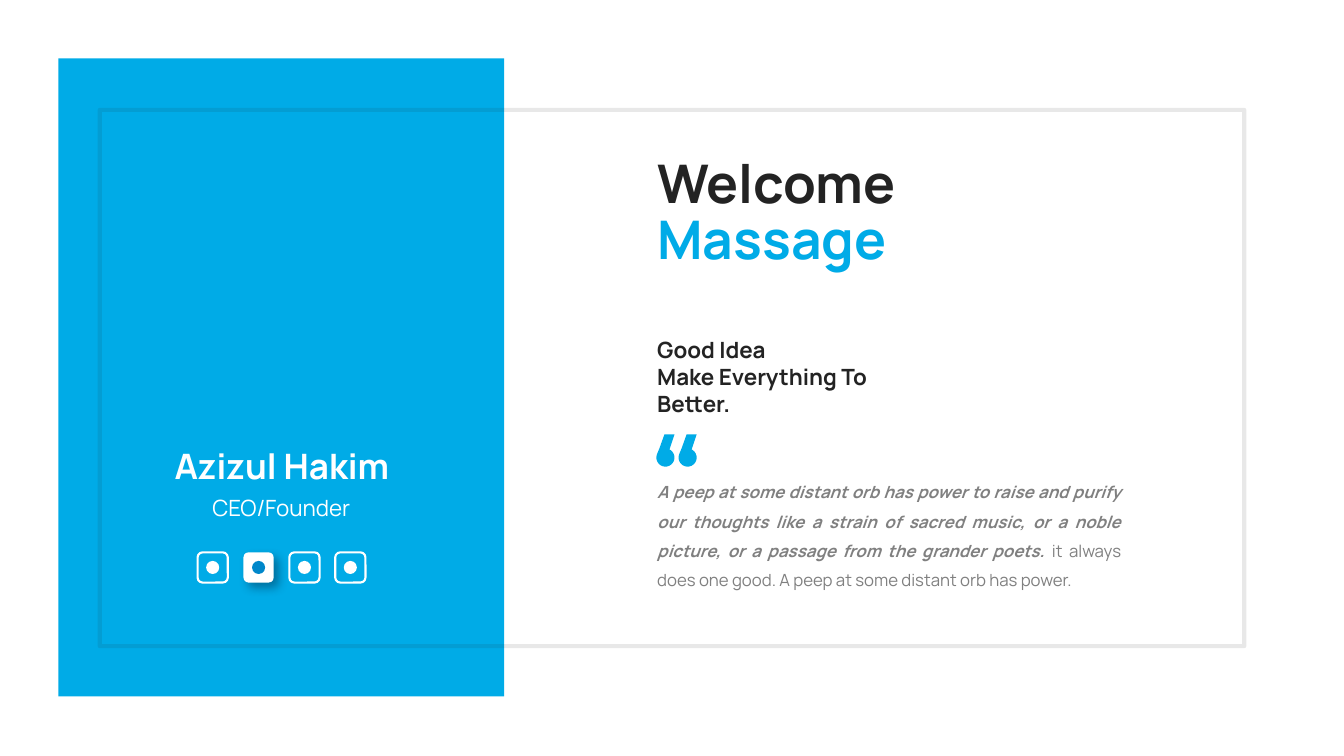
import math

import lxml.etree
import pptx
import pptx.dml.color
import pptx.enum.shapes
import pptx.enum.text
import pptx.oxml
import pptx.oxml.ns
import pptx.util

Inches = pptx.util.Inches
Pt = pptx.util.Pt
KIND = pptx.enum.shapes.MSO_SHAPE
ALIGN = pptx.enum.text.PP_ALIGN
HUES = {
    "blue": "00ABE7",
    "deep": "0087CA",
    "dark": "232323",
    "grey": "808080",
    "white": "FFFFFF",
    "shade": "001932",
}


def tint(name):
    return pptx.dml.color.RGBColor.from_string(HUES[name])


class Page:
    """Holds the font and the slide that the elements are added to."""

    def __init__(self, slide, font):
        self.slide = slide
        self.font = font

    def typeset(self, frame, paras, size, align=ALIGN.LEFT, gap=None, wrap=True):
        """Fill a frame; each paragraph is a list of (text, hue, bold, italic)."""
        frame.word_wrap = wrap
        frame.auto_size = pptx.enum.text.MSO_AUTO_SIZE.NONE
        frame.vertical_anchor = pptx.enum.text.MSO_ANCHOR.TOP
        for i, runs in enumerate(paras):
            para = frame.add_paragraph() if i else frame.paragraphs[0]
            para.alignment = align
            if gap:
                para.line_spacing = Pt(gap)
            for text, hue, bold, slant in runs:
                run = para.add_run()
                run.text = text
                run.font.name = self.font
                run.font.size = Pt(size)
                run.font.bold = bold
                run.font.italic = slant
                run.font.color.rgb = tint(hue)

    def title(self, box, runs, size, gap):
        head = self.slide.shapes.title
        head.left, head.top, head.width, head.height = map(Inches, box)
        self.typeset(head.text_frame, [runs], size, gap=gap)

    def text(self, box, paras, size, **style):
        area = self.slide.shapes.add_textbox(*map(Inches, box))
        self.typeset(area.text_frame, paras, size, **style)

    def paint(self, shape, fill=None, line=None, width=1.5):
        shape.shadow.inherit = False
        if fill:
            shape.fill.solid()
            shape.fill.fore_color.rgb = tint(fill)
        else:
            shape.fill.background()
        if line:
            shape.line.color.rgb = tint(line)
            shape.line.width = Pt(width)
        else:
            shape.line.fill.background()
        return shape

    def shape(self, kind, box, **style):
        shape = self.slide.shapes.add_shape(kind, *map(Inches, box))
        return self.paint(shape, **style)

    def fade(self, shape, share):
        """Set the opacity of a line, in percent."""
        hue = shape._element.spPr.find(".//a:ln//a:srgbClr", pptx.oxml.ns._nsmap)
        alpha = lxml.etree.SubElement(hue, pptx.oxml.ns.qn("a:alpha"))
        alpha.set("val", str(share * 1000))

    def shade(self, shape, hue, share, blur, shift, angle):
        """Cast an outer shadow; opacity in percent, lengths in points."""
        effects = shape._element.spPr.find(pptx.oxml.ns.qn("a:effectLst"))
        effects.append(pptx.oxml.parse_xml(
            f'<a:outerShdw {pptx.oxml.ns.nsdecls("a")} blurRad="{Pt(blur)}" '
            f'dist="{Pt(shift)}" dir="{angle * 60000}" algn="tl" rotWithShape="0">'
            f'<a:srgbClr val="{HUES[hue]}"><a:alpha val="{share * 1000}"/></a:srgbClr>'
            '</a:outerShdw>'))

    def quote(self, left, top, step, fill):
        """Draw an opening quote mark of two drops, each a slanted tip on a disc."""
        disc = [(0.09 + 0.09 * math.cos(math.radians(a)),
                 0.23 + 0.09 * math.sin(math.radians(a))) for a in range(-55, 201, 15)]
        drop = [(0.08, 0), (0.18, 0), (0.13, 0.15), *disc, (0.03, 0.14)]
        pen = None
        for i in range(2):
            spots = [(Inches(left + i * step + x), Inches(top + y)) for x, y in drop]
            if pen:
                pen.move_to(*spots[0])
            else:
                pen = self.slide.shapes.build_freeform(*spots[0], scale=1.0)
            pen.add_line_segments(spots[1:], close=True)
        self.paint(pen.convert_to_shape(), fill=fill)


def main():
    deck = pptx.Presentation()
    deck.slide_width = Inches(13.33)
    deck.slide_height = Inches(7.5)
    page = Page(deck.slides.add_slide(deck.slide_layouts[5]), "Manrope")

    page.shape(KIND.RECTANGLE, (0.58, 0.58, 4.42, 6.33), fill="blue")
    page.text((1.54, 4.36, 2.51, 0.52), [[("Azizul Hakim", "white", True, False)]],
              25, align=ALIGN.CENTER, wrap=False)
    page.text((1.94, 4.85, 1.7, 0.37), [[("CEO/Founder", "white", False, False)]],
              16, align=ALIGN.CENTER, wrap=False)

    side, dot = 0.3, 0.13
    inset = (side - dot) / 2
    for i in range(4):
        left, top = 1.96 + i * 0.455, 5.48
        active = i == 1
        style = {"fill": "white"} if active else {"line": "white"}
        tile = page.shape(KIND.ROUNDED_RECTANGLE, (left, top, side, side), **style)
        if active:
            page.shade(tile, "shade", 40, 7, 5, 45)
        page.shape(KIND.OVAL, (left + inset, top + inset, dot, dot),
                   fill="deep" if active else "white")

    page.title((6.42, 1.52, 3.54, 1.23),
               [("Welcome ", "dark", True, False), ("Massage", "blue", True, False)],
               38, 40)
    page.text((6.42, 4.64, 4.8, 1.25), [[
        ("A peep at some distant orb has power to raise and purify our thoughts "
         "like a strain of sacred music, or a noble picture, or a passage from "
         "the grander poets. ", "grey", True, True),
        ("it always does one good. A peep at some distant orb has power.",
         "grey", False, False),
    ]], 12, align=ALIGN.JUSTIFY, gap=21)
    page.text((6.42, 3.29, 2.38, 0.91), [
        [("Good Idea", "dark", True, False)],
        [("Make Everything To Better.", "dark", True, False)],
    ], 16)
    page.quote(6.51, 4.31, 0.22, "blue")

    frame = page.shape(KIND.RECTANGLE, (0.99, 1.09, 11.35, 5.32), line="dark", width=3)
    page.fade(frame, 10)
    deck.save("out.pptx")


if __name__ == "__main__":
    main()
